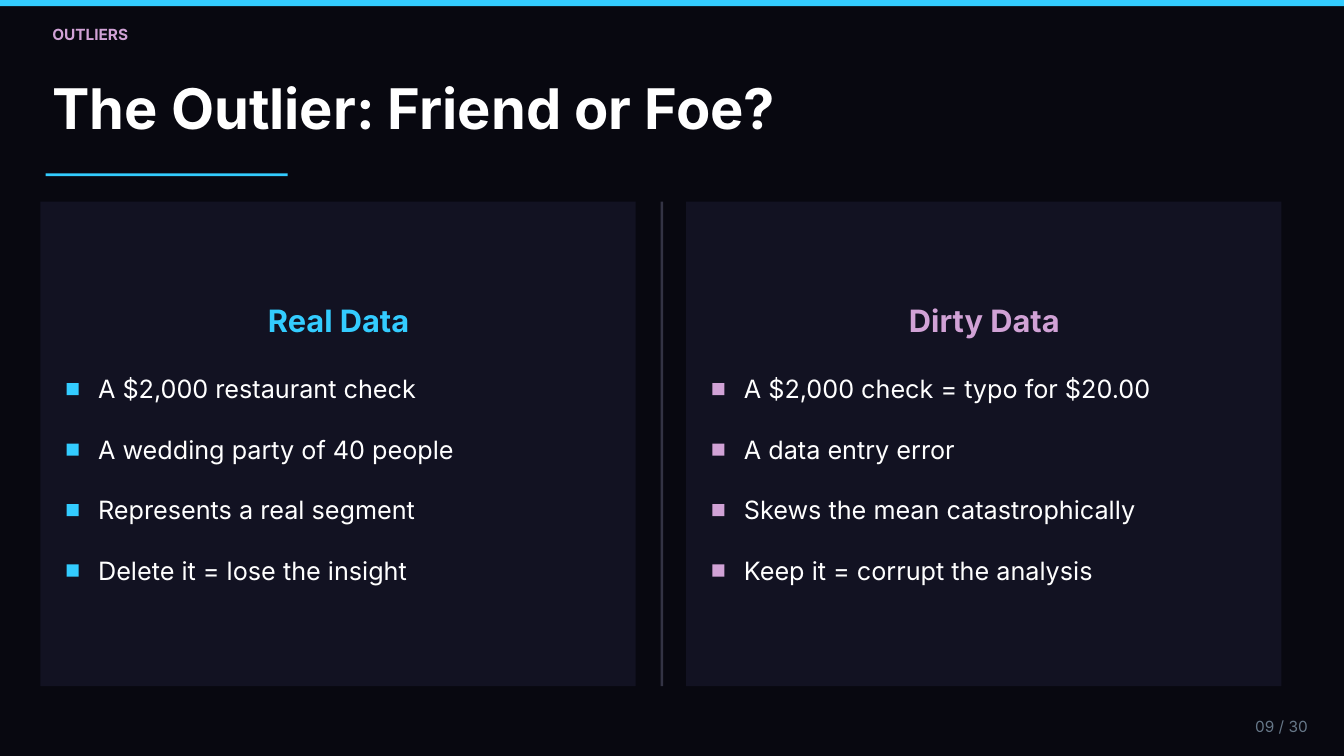
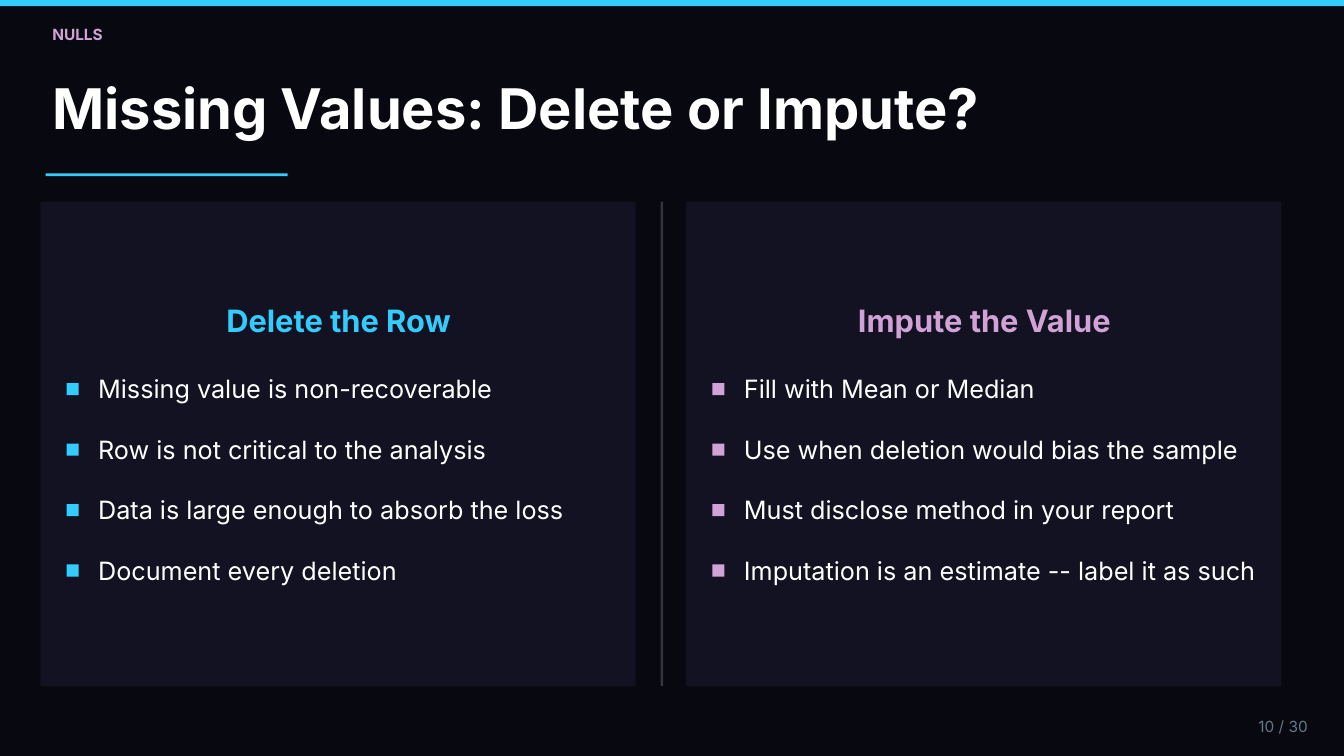
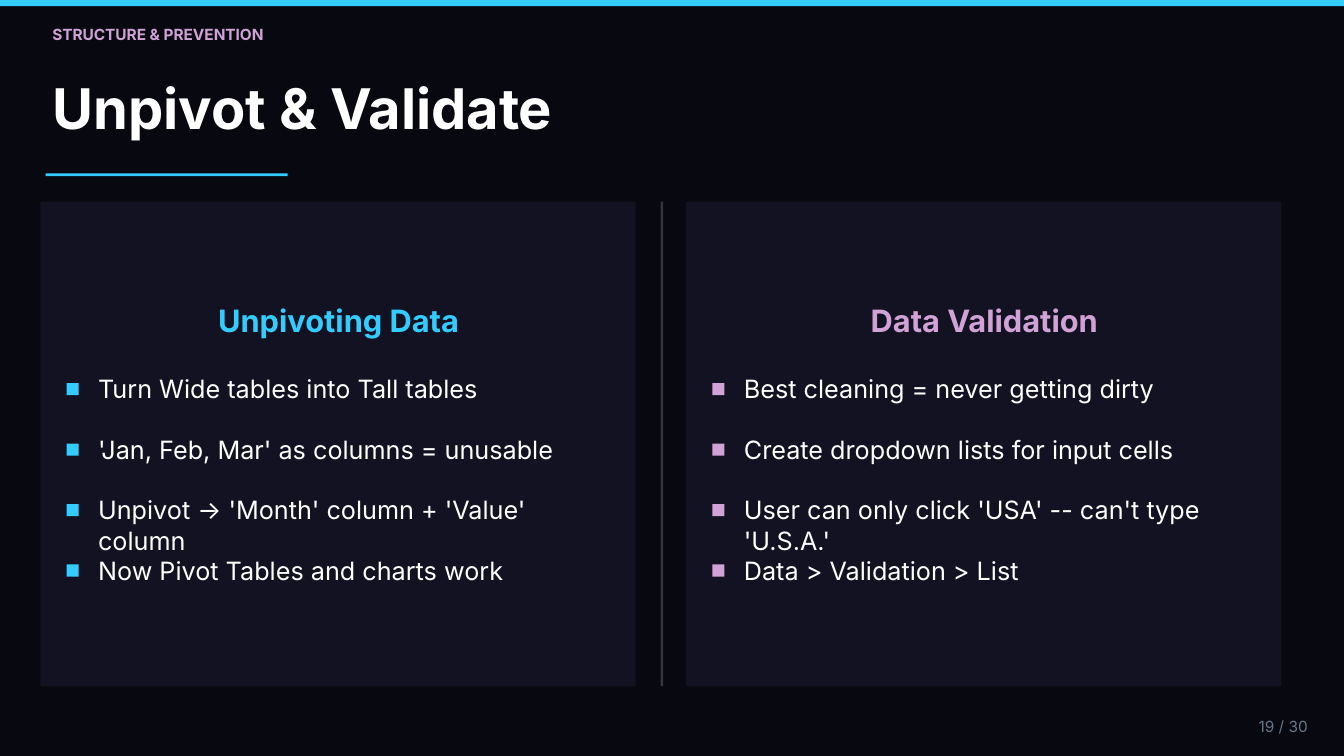
from pptx import Presentation
from pptx.dml.color import RGBColor
from pptx.enum.shapes import MSO_SHAPE
from pptx.enum.text import MSO_AUTO_SIZE, PP_ALIGN
from pptx.util import Inches, Pt

# Colours and font
NIGHT = RGBColor(0x08, 0x08, 0x10)
PANEL = RGBColor(0x12, 0x12, 0x22)
DIVIDER = RGBColor(0x33, 0x33, 0x44)
CYAN = RGBColor(0x33, 0xCC, 0xFF)
MAUVE = RGBColor(0xD1, 0xA2, 0xD6)
WHITE = RGBColor(0xFF, 0xFF, 0xFF)
SLATE = RGBColor(0x66, 0x77, 0x88)
FONT = "Inter"

# Layout in inches
WIDTH, HEIGHT = 20, 11.25
PANEL_TOP, PANEL_WIDTH, PANEL_HEIGHT = 3, 8.86, 7.21
PANEL_COLUMNS = ((0.6, CYAN), (10.21, MAUVE))
BULLET_TOP, BULLET_STEP, BULLET_SIZE = 5.7, 0.9, 0.18
LINE_FACTOR = 1.2
PAGE_TOTAL = 30

# Section, title, page number, then heading and points of each panel
COMPARISONS = [
    ("OUTLIERS", "The Outlier: Friend or Foe?", 9, [
        ("Real Data", [
            "A $2,000 restaurant check",
            "A wedding party of 40 people",
            "Represents a real segment",
            "Delete it = lose the insight"]),
        ("Dirty Data", [
            "A $2,000 check = typo for $20.00",
            "A data entry error",
            "Skews the mean catastrophically",
            "Keep it = corrupt the analysis"])]),
    ("NULLS", "Missing Values: Delete or Impute?", 10, [
        ("Delete the Row", [
            "Missing value is non-recoverable",
            "Row is not critical to the analysis",
            "Data is large enough to absorb the loss",
            "Document every deletion"]),
        ("Impute the Value", [
            "Fill with Mean or Median",
            "Use when deletion would bias the sample",
            "Must disclose method in your report",
            "Imputation is an estimate -- label it as such"])]),
    ("STRUCTURE & PREVENTION", "Unpivot & Validate", 19, [
        ("Unpivoting Data", [
            "Turn Wide tables into Tall tables",
            "'Jan, Feb, Mar' as columns = unusable",
            "Unpivot -> 'Month' column + 'Value' column",
            "Now Pivot Tables and charts work"]),
        ("Data Validation", [
            "Best cleaning = never getting dirty",
            "Create dropdown lists for input cells",
            "User can only click 'USA' -- can't type 'U.S.A.'",
            "Data > Validation > List"])]),
]


class ComparisonDeck:
    def __init__(self):
        self.deck = Presentation()
        self.deck.slide_width = Inches(WIDTH)
        self.deck.slide_height = Inches(HEIGHT)
        self.page = None

    def block(self, left, top, width, height, color):
        shape = self.page.shapes.add_shape(
            MSO_SHAPE.RECTANGLE,
            Inches(left), Inches(top), Inches(width), Inches(height))
        shape.shadow.inherit = False
        shape.fill.solid()
        shape.fill.fore_color.rgb = color
        shape.line.fill.background()

    def text(self, words, left, top, width, size, color,
             bold=False, align=PP_ALIGN.LEFT):
        line_height = Pt(size * LINE_FACTOR)
        box = self.page.shapes.add_textbox(
            Inches(left), Inches(top), Inches(width), line_height)
        frame = box.text_frame
        frame.word_wrap = True
        frame.auto_size = MSO_AUTO_SIZE.SHAPE_TO_FIT_TEXT
        frame.margin_left = frame.margin_right = 0
        frame.margin_top = frame.margin_bottom = 0
        para = frame.paragraphs[0]
        para.alignment = align
        para.line_spacing = line_height
        span = para.add_run()
        span.text = words
        span.font.name = FONT
        span.font.size = Pt(size)
        span.font.bold = bold
        span.font.color.rgb = color

    def start_page(self, section, title):
        self.page = self.deck.slides.add_slide(self.deck.slide_layouts[6])
        self.page.background.fill.solid()
        self.page.background.fill.fore_color.rgb = NIGHT
        self.block(0, 0, WIDTH, 0.09, CYAN)
        self.text(section, 0.78, 0.37, 11.81, 16.5, MAUVE, bold=True)
        self.text(title, 0.78, 1.1, 17.81, 60, WHITE, bold=True)
        self.block(0.68, 2.58, 3.6, 0.04, CYAN)

    def panel(self, left, color, heading, points):
        self.block(left, PANEL_TOP, PANEL_WIDTH, PANEL_HEIGHT, PANEL)
        self.text(heading, left + 0.41, 4.49, 8.06, 33, color,
                  bold=True, align=PP_ALIGN.CENTER)
        for index, point in enumerate(points):
            top = BULLET_TOP + index * BULLET_STEP
            self.block(left + 0.39, top, BULLET_SIZE, BULLET_SIZE, color)
            self.text(point, left + 0.86, top - 0.14, 7.61, 27, WHITE)

    def divider(self):
        self.block(9.83, PANEL_TOP, 0.04, PANEL_HEIGHT, DIVIDER)

    def page_number(self, number):
        self.text(f"{number:02} / {PAGE_TOTAL}", 18.01, 10.67, 1.45, 16.5,
                  SLATE, align=PP_ALIGN.RIGHT)


def main():
    builder = ComparisonDeck()
    for section, title, number, panels in COMPARISONS:
        builder.start_page(section, title)
        for (left, color), (heading, points) in zip(PANEL_COLUMNS, panels):
            builder.panel(left, color, heading, points)
        builder.divider()
        builder.page_number(number)
    builder.deck.save("out.pptx")


if __name__ == "__main__":
    main()
